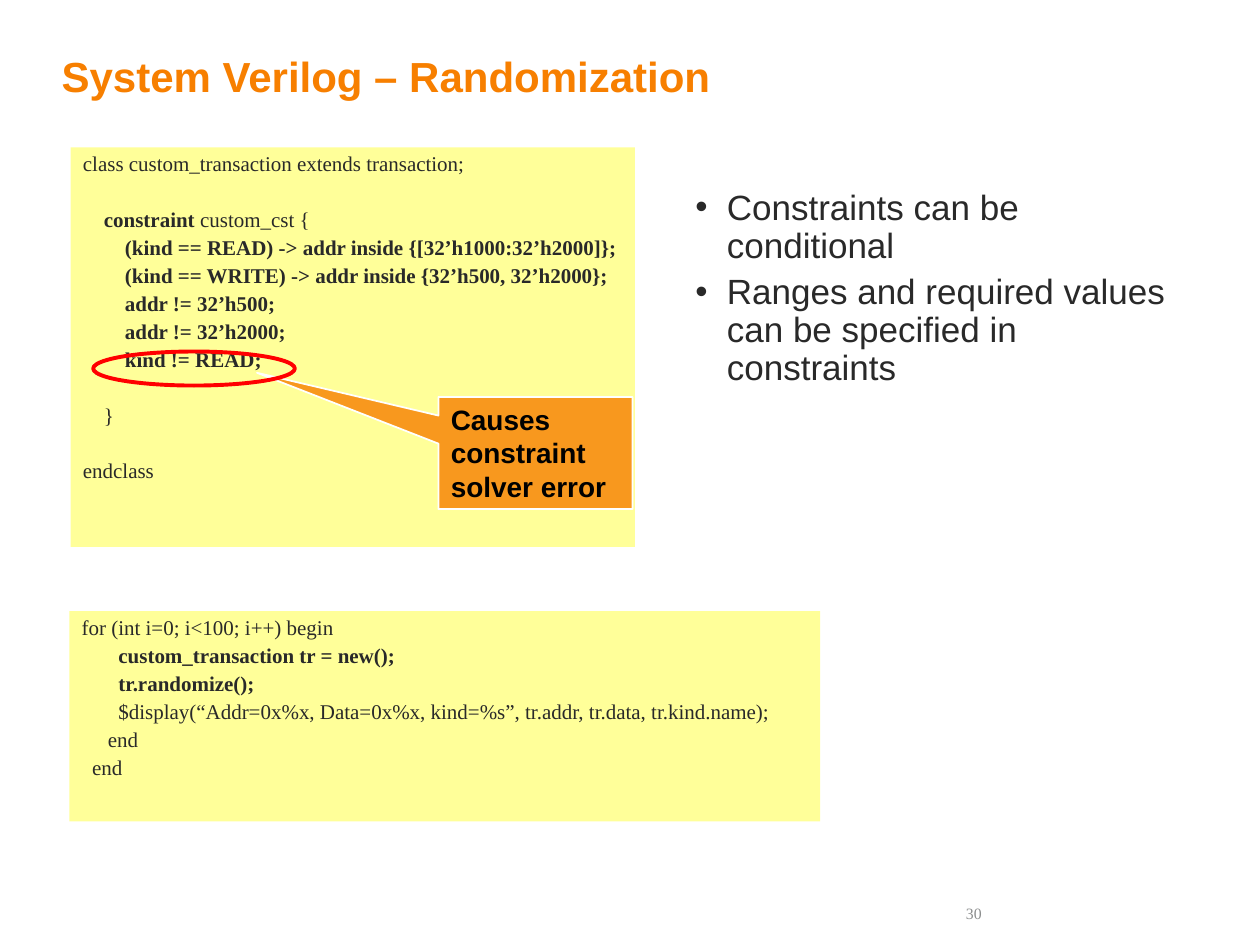
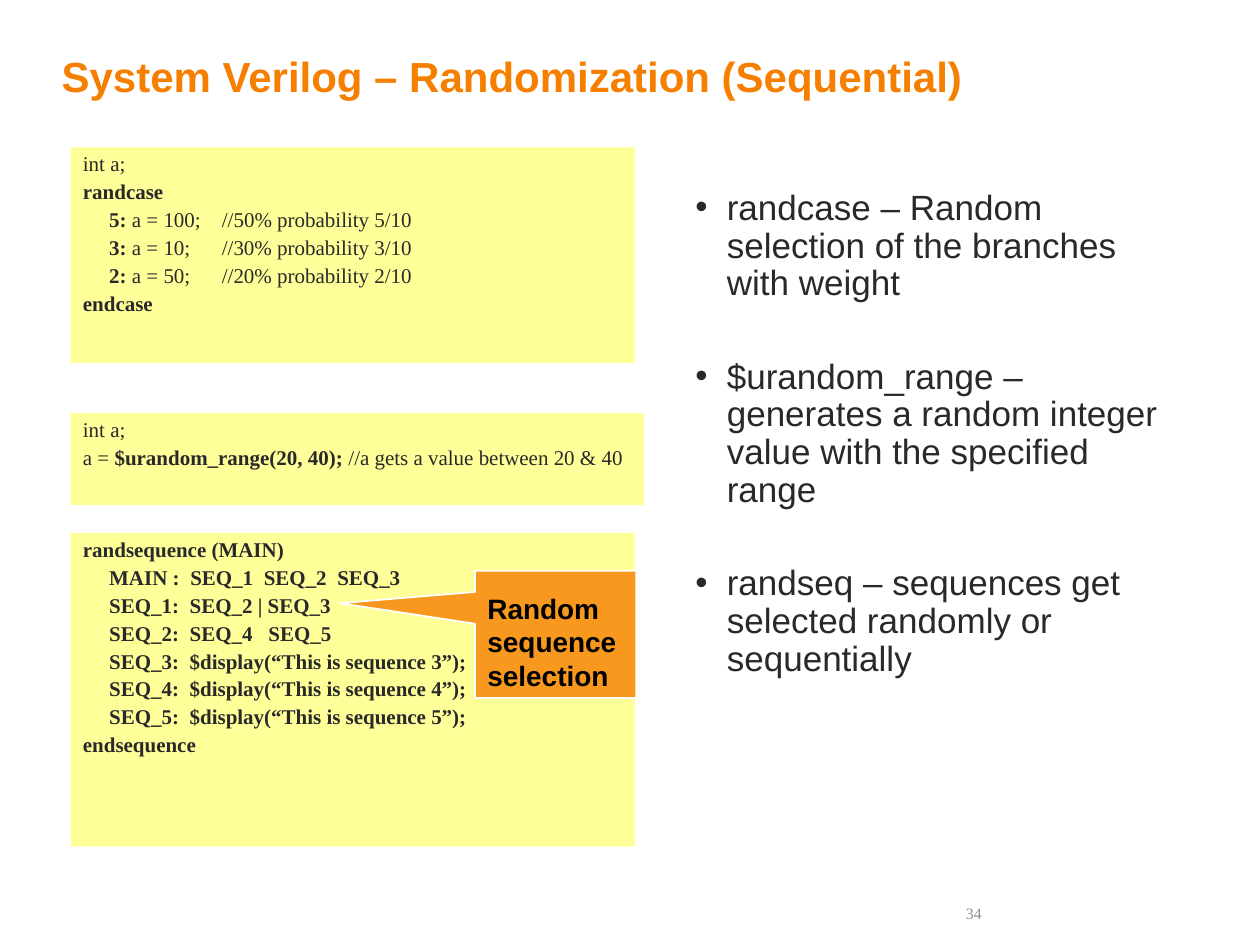
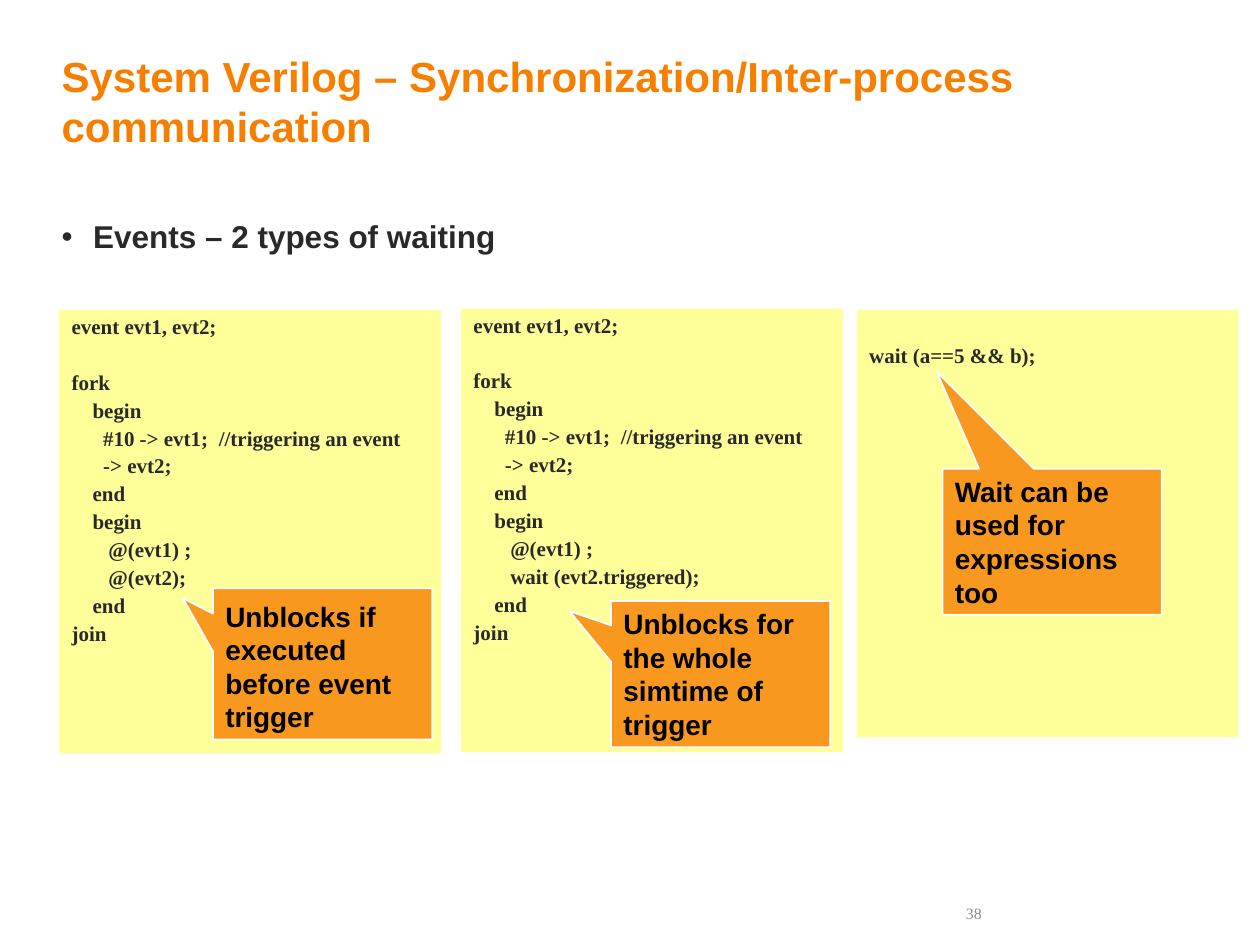
from itertools import groupby
from lxml.etree import SubElement
from pptx import Presentation
from pptx.dml.color import RGBColor
from pptx.enum.shapes import MSO_SHAPE
from pptx.enum.text import MSO_ANCHOR, PP_ALIGN
from pptx.oxml.ns import qn
from pptx.util import Inches, Pt

ORANGE, YELLOW, RED = "F77F00", "FFFF99", "FF0000"
INK, GRAY, BLACK, WHITE = "292929", "8C8E8E", "000000", "FFFFFF"
SANS, SERIF = "Arial", "Times New Roman"
BODY_X, BODY_Y, BODY_W = 5.42, 1.46, 4.08
SPACE = 3


def color(code):
    return RGBColor.from_string(code)


def place(box):
    return [Inches(n) for n in box]


def split_gaps(text):
    words = ""
    for blank, chars in groupby(text, str.isspace):
        part = "".join(chars)
        if blank and len(part) > 1:
            yield words, 0
            yield " ", len(part) - 1
            words = ""
        else:
            words += part
    yield words, 0


def add_runs(para, text, font, size, ink, bold=False):
    for i, part in enumerate(text.split("**")):
        for words, extra in split_gaps(part):
            if not words:
                continue
            run = para.add_run()
            run.text = words
            run.font.name = font
            run.font.size = Pt(size)
            run.font.bold = bold != (i % 2 == 1)
            run.font.color.rgb = color(ink)
            if extra:
                run._r.get_or_add_rPr().set("spc", str(extra * SPACE * 100))


def add_paras(frame, lines, size):
    gap, count = 0, 0
    for line in lines:
        if not line:
            gap += 1
            continue
        para = frame.add_paragraph() if count else frame.paragraphs[0]
        para.line_spacing = 0.9
        lead = size / 4
        blank = size * 1.08 + lead
        para.space_before = Pt(lead + gap * blank if count else 0)
        gap, count = 0, count + 1
        yield para, line


def add_text(slide, box, text, font, size, ink, bold=False):
    frame = slide.shapes.add_textbox(*place(box)).text_frame
    frame.word_wrap = True
    add_runs(frame.paragraphs[0], text, font, size, ink, bold)
    return frame


def add_slide(deck, title, number):
    slide = deck.slides.add_slide(deck.slide_layouts[6])
    foot = add_text(slide, (7.02, 7.12, 0.87, 0.25), number, SERIF, 9, GRAY)
    foot.vertical_anchor = MSO_ANCHOR.MIDDLE
    foot.paragraphs[0].alignment = PP_ALIGN.RIGHT
    add_text(slide, (0.39, 0.35, 9.12, 0.87), title, SANS, 24, ORANGE, True)
    return slide


def add_shape(slide, kind, box, fill=None, line=None, width=1):
    shape = slide.shapes.add_shape(kind, *place(box))
    shape.shadow.inherit = False
    if fill:
        shape.fill.solid()
        shape.fill.fore_color.rgb = color(fill)
    else:
        shape.fill.background()
    if line:
        shape.line.color.rgb = color(line)
        shape.line.width = Pt(width)
    else:
        shape.line.fill.background()
    shape.text_frame.word_wrap = True
    return shape


def add_code(slide, box, lines, bold=False, top=0.05):
    frame = add_shape(slide, MSO_SHAPE.RECTANGLE, box, YELLOW).text_frame
    frame.vertical_anchor = MSO_ANCHOR.TOP
    frame.margin_top = Inches(top)
    for para, line in add_paras(frame, lines, 12):
        text = line.lstrip(" ")
        para.alignment = PP_ALIGN.LEFT
        props = para._p.get_or_add_pPr()
        props.set("marL", "0")
        props.set("indent", str(Pt(SPACE * (len(line) - len(text)))))
        add_runs(para, text, SERIF, 12, INK, bold)


def add_list(slide, box, lines, size=20, bold=False):
    frame = slide.shapes.add_textbox(*place(box)).text_frame
    frame.word_wrap = True
    for para, line in add_paras(frame, lines, size):
        props = para._p.get_or_add_pPr()
        props.set("marL", str(Inches(0.25)))
        props.set("indent", str(Inches(-0.25)))
        tint = SubElement(props, qn("a:buClr"))
        SubElement(tint, qn("a:srgbClr"), val=INK)
        SubElement(props, qn("a:buFont"), typeface=SANS)
        SubElement(props, qn("a:buChar"), char="•")
        add_runs(para, line, SANS, size, INK, bold)


def add_callout(slide, box, tip, text):
    kind = MSO_SHAPE.RECTANGULAR_CALLOUT
    shape = add_shape(slide, kind, box, ORANGE, WHITE)
    shape.adjustments[0], shape.adjustments[1] = tip
    fill = shape._element.spPr.find(qn("a:solidFill"))
    SubElement(fill[0], qn("a:alpha"), val="80000")
    frame = shape.text_frame
    frame.vertical_anchor = MSO_ANCHOR.BOTTOM
    frame.paragraphs[0].alignment = PP_ALIGN.LEFT
    add_runs(frame.paragraphs[0], text, SANS, 16, BLACK, True)


def add_rules(deck):
    slide = add_slide(deck, "System Verilog – Randomization", "30")
    add_code(slide, (0.56, 1.17, 4.48, 3.17), [
        "class custom_transaction extends transaction;",
        "",
        "    **constraint **custom_cst {",
        "        **(kind == READ) -> addr inside {[32’h1000:32’h2000]};**",
        "        **(kind == WRITE) -> addr inside {32’h500, 32’h2000};**",
        "        **addr != 32’h500;**",
        "        **addr != 32’h2000;**",
        "        **kind != READ;**",
        "",
        "    }",
        "",
        "endclass",
    ])
    add_list(slide, (BODY_X, BODY_Y, BODY_W, 2.84), [
        "Constraints can be conditional",
        "Ranges and required values can be specified in constraints",
    ])
    add_code(slide, (0.55, 4.85, 5.96, 1.67), [
        "for (int i=0; i<100; i++) begin",
        "       **custom_transaction tr = new();**",
        "       **tr.randomize();**",
        "       $display(“Addr=0x%x, Data=0x%x, kind=%s”, "
        "tr.addr, tr.data, tr.kind.name);",
        "     end",
        "  end",
    ])
    add_callout(slide, (3.48, 3.15, 1.54, 0.89), (-1.435, -0.715),
                "Causes constraint solver error")
    add_shape(slide, MSO_SHAPE.OVAL, (0.74, 2.79, 1.6, 0.27),
              line=RED, width=2.25)


def add_random(deck):
    slide = add_slide(deck, "System Verilog – Randomization (Sequential)", "34")
    add_code(slide, (0.56, 1.17, 4.48, 1.71), [
        "int a;",
        "**randcase**",
        "     **5: **a = 100;    //50% probability 5/10",
        "     **3: **a = 10;      //30% probability 3/10",
        "     **2: **a = 50;      //20% probability 2/10",
        "**endcase**",
    ])
    add_list(slide, (BODY_X, BODY_Y, BODY_W, 4.63), [
        "randcase – Random selection of the branches with weight",
        "",
        "$urandom_range – generates a random integer value "
        "with the specified range",
        "",
        "randseq – sequences get selected randomly or sequentially",
    ])
    add_code(slide, (0.56, 3.28, 4.55, 0.73), [
        "int a;",
        "a =** $urandom_range(20, 40); **//a gets a value between 20 & 40",
    ])
    shows = [f"     SEQ_{n}:  $display(“This is sequence {n}”);"
             for n in (3, 4, 5)]
    add_code(slide, (0.56, 4.23, 4.48, 2.49), [
        "randsequence (MAIN)",
        "     MAIN :  SEQ_1  SEQ_2  SEQ_3",
        "     SEQ_1:  SEQ_2 | SEQ_3",
        "     SEQ_2:  SEQ_4   SEQ_5",
        *shows,
        "endsequence",
    ], bold=True)
    add_callout(slide, (3.77, 4.53, 1.28, 1.01), (-1.338, -0.245),
                "Random sequence selection")


def add_events(deck):
    slide = add_slide(deck, "System Verilog – Synchronization/Inter-process "
                      "communication", "38")
    add_list(slide, (0.39, 1.71, 9.12, 0.47),
             ["Events – 2 types of waiting"], 18, True)
    waits = [
        ((0.47, 2.46, 3.03, 3.52), "@(evt2);",
         (1.69, 4.67, 1.74, 1.2), (-0.638, -0.436),
         "Unblocks if executed before event trigger"),
        ((3.66, 2.45, 3.03, 3.52), "wait (evt2.triggered);",
         (4.85, 4.77, 1.74, 1.16), (-0.69, -0.431),
         "Unblocks for the whole simtime of trigger"),
    ]
    for box, wait, note, tip, text in waits:
        add_code(slide, box, [
            "event evt1, evt2;",
            "",
            "fork",
            "    begin",
            "      #10 -> evt1;  //triggering an event",
            "      -> evt2;",
            "    end",
            "    begin",
            "       @(evt1) ;",
            "       " + wait,
            "    end",
            "join",
        ], bold=True)
        add_callout(slide, note, tip, text)
    add_code(slide, (6.8, 2.46, 3.03, 3.39), ["wait (a==5 && b);"],
             bold=True, top=0.28)
    add_callout(slide, (7.48, 3.72, 1.74, 1.16), (-0.527, -1.166),
                "Wait can be used for expressions too")


def main():
    deck = Presentation()
    deck.slide_width, deck.slide_height = Inches(10), Inches(7.5)
    add_rules(deck)
    add_random(deck)
    add_events(deck)
    deck.save("out.pptx")


if __name__ == "__main__":
    main()
